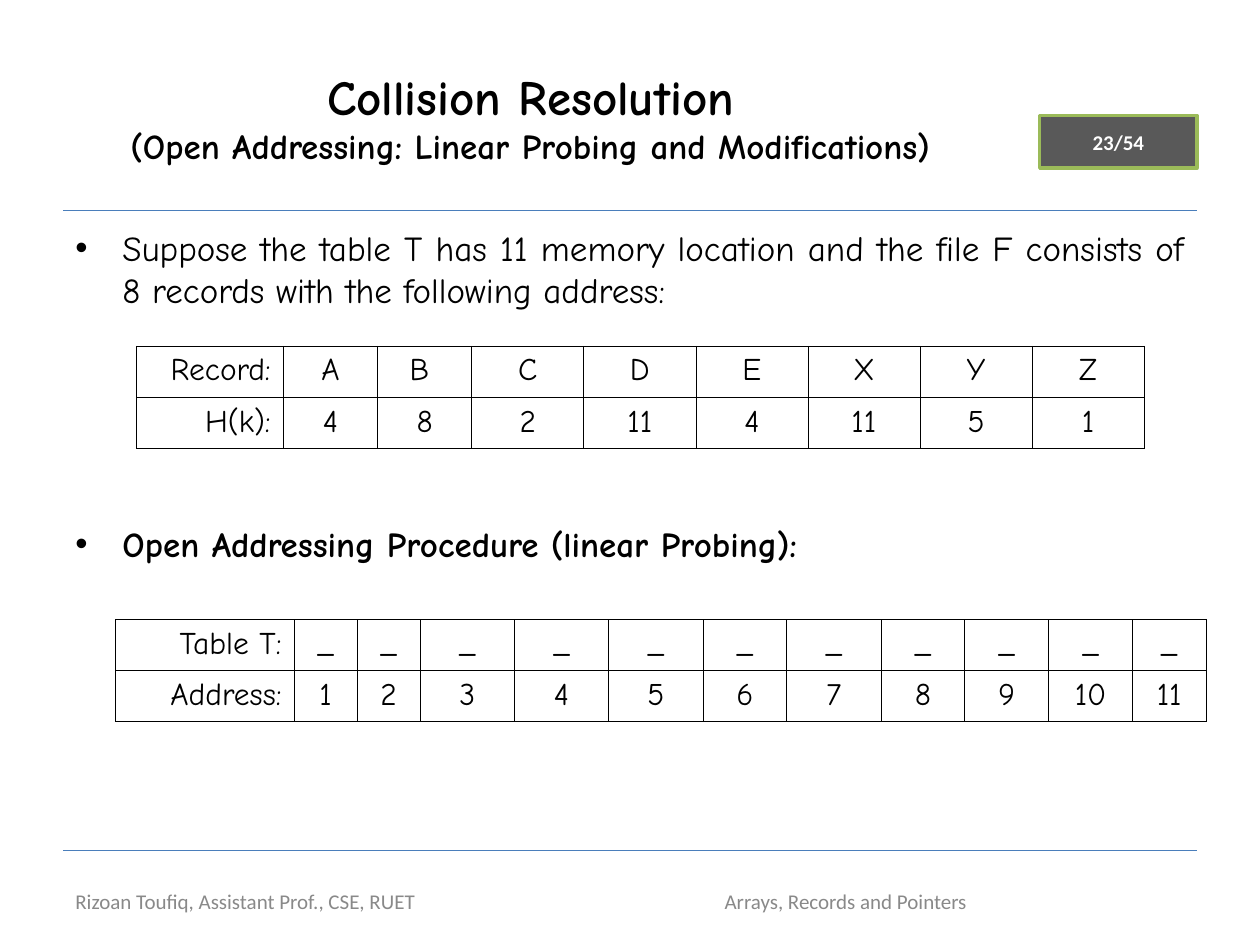
import pptx
import pptx.dml.color
import pptx.enum.shapes
import pptx.enum.text
import pptx.oxml
import pptx.oxml.ns
import pptx.util
from pptx.util import Cm

COLORS = {
    "text": "000000",
    "rule": "4A7EBB",
    "badge": "595959",
    "badge_edge": "9BBB59",
    "badge_text": "FFFFFF",
    "footer": "898989",
}
ALIGN = pptx.enum.text.PP_ALIGN
MIDDLE = pptx.enum.text.MSO_ANCHOR.MIDDLE
TITLE_ONLY = 5


def rgb(name):
    return pptx.dml.color.RGBColor.from_string(COLORS[name])


def xml(markup):
    """Parse one element whose children use the a: prefix."""
    head, rest = markup.split(" ", 1)
    return pptx.oxml.parse_xml(f'{head} {pptx.oxml.ns.nsdecls("a")} {rest}')


class SlideBuilder:
    hand_font = "Comic Neue"
    plain_font = "Calibri"

    def __init__(self, slide):
        self.slide = slide

    def format(self, paragraph, size, color="text", font=hand_font,
               bold=False, align=ALIGN.CENTER):
        paragraph.alignment = align
        for run in paragraph.runs:
            run.font.name = font
            run.font.size = pptx.util.Pt(size)
            run.font.bold = bold
            run.font.color.rgb = rgb(color)

    def title(self, heading, subheading, left, top, width, height):
        title = self.slide.shapes.title
        title.left, title.top = Cm(left), Cm(top)
        title.width, title.height = Cm(width), Cm(height)
        frame = title.text_frame
        frame.auto_size = pptx.enum.text.MSO_AUTO_SIZE.NONE
        frame.vertical_anchor = MIDDLE
        frame.text = f"{heading}\v{subheading}"
        paragraph = frame.paragraphs[0]
        self.format(paragraph, 28, bold=True)
        paragraph.runs[1].font.size = pptx.util.Pt(20)

    def rule(self, y, left, right):
        line = self.slide.shapes.add_connector(
            pptx.enum.shapes.MSO_CONNECTOR.STRAIGHT,
            Cm(left), Cm(y), Cm(right), Cm(y))
        line.line.color.rgb = rgb("rule")
        line.line.width = pptx.util.Pt(0.75)
        line._element.spPr.append(xml("<a:effectLst />"))

    def badge(self, text, left, top, width, height):
        badge = self.slide.shapes.add_shape(
            pptx.enum.shapes.MSO_SHAPE.RECTANGLE,
            Cm(left), Cm(top), Cm(width), Cm(height))
        badge.shadow.inherit = False
        badge.fill.solid()
        badge.fill.fore_color.rgb = rgb("badge")
        badge.line.color.rgb = rgb("badge_edge")
        badge.line.width = pptx.util.Pt(2)
        badge.text_frame.vertical_anchor = MIDDLE
        badge.text_frame.text = text
        self.format(badge.text_frame.paragraphs[0], 12, "badge_text",
                    self.plain_font, bold=True)

    def text_box(self, text, left, top, width, height):
        frame = self.slide.shapes.add_textbox(
            Cm(left), Cm(top), Cm(width), Cm(height)).text_frame
        frame.word_wrap = True
        frame.text = text
        return frame

    def footer(self, text, left, width, align):
        frame = self.text_box(text, left, 17.65, width, 1.02)
        frame.vertical_anchor = MIDDLE
        self.format(frame.paragraphs[0], 12, "footer", self.plain_font, align=align)

    def bullets(self, items, left, top, width, height):
        """items holds (text, bold, points of space before)."""
        frame = self.text_box("\n".join(item[0] for item in items),
                              left, top, width, height)
        for paragraph, (_, bold, space) in zip(frame.paragraphs, items):
            self.format(paragraph, 20, bold=bold, align=ALIGN.JUSTIFY)
            paragraph.space_before = pptx.util.Pt(space)
            properties = paragraph._p.get_or_add_pPr()
            properties.set("marL", str(Cm(0.95)))
            properties.set("indent", str(-Cm(0.95)))
            properties.append(xml(
                f'<a:buClr ><a:srgbClr val="{COLORS["text"]}"/></a:buClr>'))
            properties.append(xml('<a:buFont typeface="Arial"/>'))
            properties.append(xml('<a:buChar char="•"/>'))

    def table(self, rows, widths, left, top, row_height=1.03):
        table = self.slide.shapes.add_table(
            len(rows), len(widths), Cm(left), Cm(top),
            Cm(sum(widths)), Cm(row_height * len(rows))).table
        table.first_row = table.horz_banding = False
        for column, width in zip(table.columns, widths):
            column.width = Cm(width)
        for row, values in zip(table.rows, rows):
            row.height = Cm(row_height)
            for index, (cell, value) in enumerate(zip(row.cells, values)):
                cell.text_frame.text = value
                self.format(cell.text_frame.paragraphs[0], 18,
                            align=ALIGN.CENTER if index else ALIGN.RIGHT)
                self.border(cell)
                cell.fill.background()

    def border(self, cell):
        properties = cell._tc.get_or_add_tcPr()
        for side in "LRTB":
            properties.append(xml(
                f'<a:ln{side} w="{pptx.util.Pt(0.45)}"><a:solidFill>'
                f'<a:srgbClr val="{COLORS["text"]}"/></a:solidFill></a:ln{side}>'))


def main():
    deck = pptx.Presentation()
    deck.slide_width, deck.slide_height = Cm(25.4), Cm(19.05)
    page = SlideBuilder(deck.slides.add_slide(deck.slide_layouts[TITLE_ONLY]))

    for y in (4.24, 17.15):
        page.rule(y, 1.27, 24.13)
    page.badge("23/54", 20.96, 2.33, 3.17, 1.06)
    page.title("Collision Resolution",
               "(Open Addressing: Linear Probing and Modifications)",
               1.27, 0.76, 18.85, 3.18)
    page.bullets([
        ("Suppose the table T has 11 memory location and the file F consists of "
         "8 records with the following address:", False, 5),
        ("Open Addressing Procedure (linear Probing):", True, 121),
    ], 1.27, 4.45, 22.86, 12.57)
    page.footer("Rizoan Toufiq, Assistant Prof., CSE, RUET", 1.27, 11.23, ALIGN.LEFT)
    page.footer("Arrays, Records and Pointers", 13.34, 7.42, ALIGN.CENTER)

    page.table([
        ["Record:", "A", "B ", "C", "D", "E", "X", "Y", "Z"],
        ["H(k):", "4", "8", "2", "11", "4", "11", "5", "1"],
    ], [2.96] + [1.9] * 2 + [2.26] * 6, 2.75, 6.98)
    addresses = [str(number) for number in range(1, 12)]
    page.table([
        ["Table T:"] + ["_"] * len(addresses),
        ["Address:"] + addresses,
    ], [3.6] + [1.27] * 2 + [1.9] * 3 + [1.69, 1.9] + [1.69] * 3 + [1.48],
        2.33, 12.49)

    deck.save("out.pptx")


if __name__ == "__main__":
    main()
